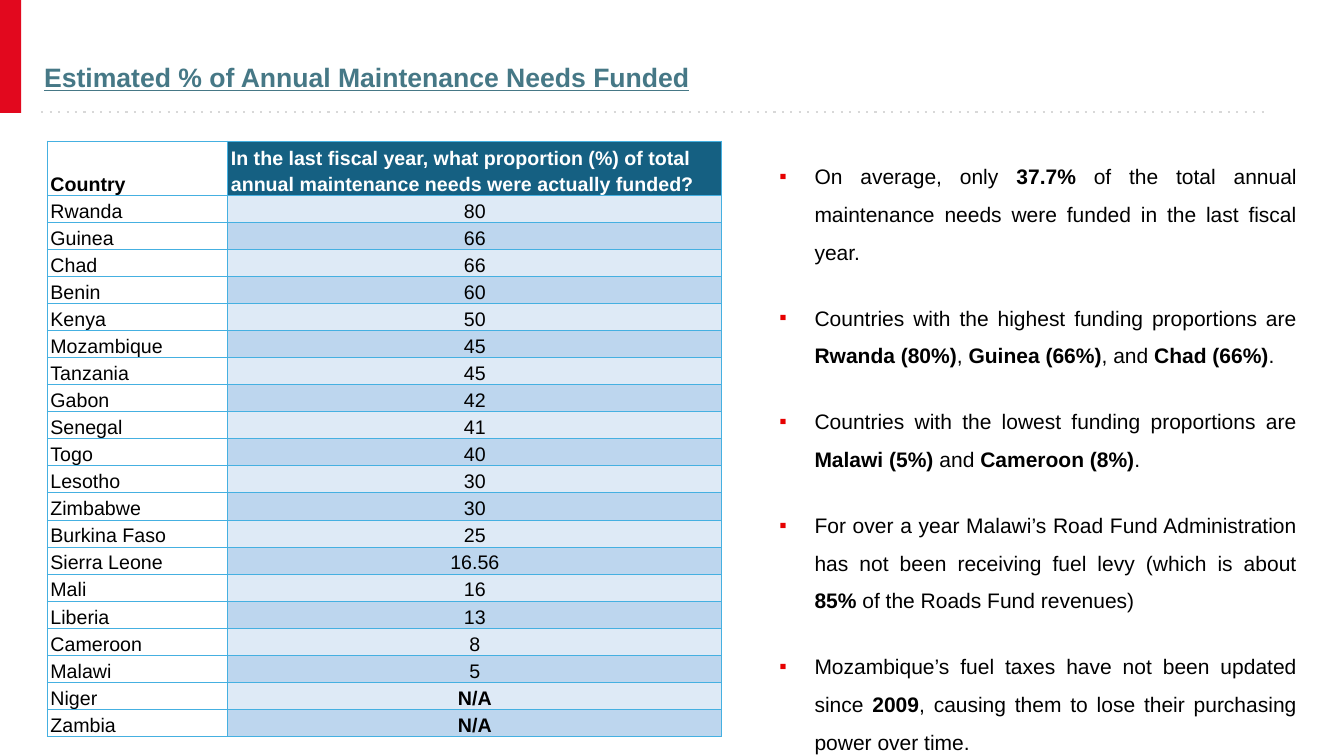
"""Build the slide on the share of annual road maintenance needs that was funded."""
import pptx
import pptx.dml.color
import pptx.enum.shapes
import pptx.enum.text
import pptx.oxml
import pptx.oxml.ns
import pptx.util

Inches, Pt = pptx.util.Inches, pptx.util.Pt
RGBColor = pptx.dml.color.RGBColor
ALIGN = pptx.enum.text.PP_ALIGN
qn = pptx.oxml.ns.qn

TITLE = "Estimated % of Annual Maintenance Needs Funded"
HEADER = ("Country", "In the last fiscal year, what proportion (%) of total "
          "annual maintenance needs were actually funded?")
FUNDED = [
    ("Rwanda", "80"), ("Guinea", "66"), ("Chad", "66"), ("Benin", "60"),
    ("Kenya", "50"), ("Mozambique", "45"), ("Tanzania", "45"), ("Gabon", "42"),
    ("Senegal", "41"), ("Togo", "40"), ("Lesotho", "30"), ("Zimbabwe", "30"),
    ("Burkina Faso", "25"), ("Sierra Leone", "16.56"), ("Mali", "16"),
    ("Liberia", "13"), ("Cameroon", "8"), ("Malawi", "5"),
    ("Niger", "N/A"), ("Zambia", "N/A"),
]
FINDINGS = [
    [("On average, only ", False), ("37.7%", True),
     (" of the total annual maintenance needs were funded in the last fiscal year.", False)],
    [("Countries with the highest funding proportions are ", False),
     ("Rwanda (80%)", True), (", ", False), ("Guinea (66%)", True),
     (", and ", False), ("Chad (66%)", True), (".", False)],
    [("Countries with the lowest funding proportions are ", False),
     ("Malawi (5%)", True), (" and ", False), ("Cameroon (8%)", True), (".", False)],
    [("For over a year Malawi’s Road Fund Administration has not been receiving "
      "fuel levy (which is about", False), (" 85% ", True),
     ("of the Roads Fund revenues)", False)],
    [("Mozambique’s fuel taxes have not been updated since", False), (" 2009", True),
     (", causing them to lose their purchasing power over time.", False)],
]

FONT = "Arial"
RED = RGBColor(0xE2, 0x08, 0x1E)
GREY = RGBColor(0xD8, 0xD8, 0xD8)
TEAL = RGBColor(0x46, 0x78, 0x86)
BLACK = RGBColor(0, 0, 0)
WHITE = RGBColor(0xFF, 0xFF, 0xFF)
NAVY = RGBColor(0x15, 0x60, 0x82)
BANDS = (RGBColor(0xDE, 0xEA, 0xF6), RGBColor(0xBD, 0xD6, 0xEE))
BORDER = "45B0E1"
BULLET = "E60000"
COLUMNS = (1.79, 4.9)
HEADER_HEIGHT, ROW_HEIGHT = 0.35, 0.21


def element(xml):
    ns = pptx.oxml.ns.nsdecls("a")
    return pptx.oxml.parse_xml(xml.replace(">", f" {ns}>", 1) if "/>" not in xml.split(">")[0] + ">"
                               else xml.replace("/>", f" {ns}/>", 1))


def add_run(p, text, size, color, bold=False):
    r = p.add_run()
    r.text = text
    r.font.name = FONT
    r.font.size = Pt(size)
    r.font.bold = bold
    r.font.color.rgb = color
    return r


def add_text_box(s, left, top, width, height):
    tf = s.shapes.add_textbox(Inches(left), Inches(top), Inches(width), Inches(height)).text_frame
    tf.word_wrap = True
    tf.margin_left = tf.margin_right = tf.margin_top = tf.margin_bottom = Inches(0.1)
    return tf


def add_frame(s):
    sp = s.shapes.add_shape(pptx.enum.shapes.MSO_SHAPE.RECTANGLE, 0, 0, Inches(0.21), Inches(1.12))
    sp.shadow.inherit = False
    sp.fill.solid()
    sp.fill.fore_color.rgb = RED
    sp.line.fill.background()
    rule = s.shapes.add_connector(pptx.enum.shapes.MSO_CONNECTOR.STRAIGHT,
                                  Inches(0.41), Inches(1.11), Inches(12.56), Inches(1.11))
    rule.line.color.rgb = GREY
    rule.line.width = Pt(1.5)
    rule.line._get_or_add_ln().append(element('<a:prstDash val="dot"/>'))
    rule._element.spPr.append(element("<a:effectLst/>"))


def add_title(s):
    p = add_text_box(s, 0.34, 0.35, 11.31, 0.76).paragraphs[0]
    p.line_spacing = 1.5
    add_run(p, TITLE, 19, TEAL, True).font.underline = True


def fill_cell(cell, text, fill, color, bold, align):
    cell.margin_left = cell.margin_right = Inches(0.03)
    cell.margin_top = cell.margin_bottom = 0
    cell.vertical_anchor = pptx.enum.text.MSO_ANCHOR.BOTTOM
    p = cell.text_frame.paragraphs[0]
    p.alignment = align
    p.line_spacing = 1.15
    add_run(p, text, 14, color, bold)
    tcPr = cell._tc.get_or_add_tcPr()
    for side in ("lnL", "lnR", "lnT", "lnB"):
        tcPr.append(element(f'<a:{side} w="{Pt(0.75)}"><a:solidFill>'
                            f'<a:srgbClr val="{BORDER}"/></a:solidFill></a:{side}>'))
    cell.fill.solid()
    cell.fill.fore_color.rgb = fill


def add_funding_table(s):
    height = HEADER_HEIGHT + ROW_HEIGHT * len(FUNDED)
    table = s.shapes.add_table(len(FUNDED) + 1, len(COLUMNS), Inches(0.47), Inches(1.4),
                               Inches(sum(COLUMNS)), Inches(height)).table
    for column, width in zip(table.columns, COLUMNS):
        column.width = Inches(width)
    for i, row in enumerate(table.rows):
        row.height = Inches(ROW_HEIGHT if i else HEADER_HEIGHT)
    fill_cell(table.cell(0, 0), HEADER[0], WHITE, BLACK, True, ALIGN.LEFT)
    fill_cell(table.cell(0, 1), HEADER[1], NAVY, WHITE, True, ALIGN.LEFT)
    for i, (country, share) in enumerate(FUNDED):
        fill_cell(table.cell(i + 1, 0), country, WHITE, BLACK, False, ALIGN.LEFT)
        fill_cell(table.cell(i + 1, 1), share, BANDS[i % 2], BLACK, share == "N/A", ALIGN.CENTER)


def add_findings(s):
    tf = add_text_box(s, 7.54, 1.4, 5.42, 6.1)
    for i, runs in enumerate(FINDINGS):
        p = tf.add_paragraph() if i else tf.paragraphs[0]
        pPr = p._p.get_or_add_pPr()
        pPr.set("marL", str(Inches(0.44)))
        pPr.set("indent", str(Inches(-0.35)))
        pPr.append(element(f'<a:buClr><a:srgbClr val="{BULLET}"/></a:buClr>'))
        pPr.append(element(f'<a:buFont typeface="{FONT}"/>'))
        pPr.append(element('<a:buChar char="▪"/>'))
        p.alignment = ALIGN.JUSTIFY
        p.line_spacing = 1.5
        if i:
            p.space_before = Pt(20)
        for text, bold in runs:
            add_run(p, text, 15, BLACK, bold)


def main():
    prs = pptx.Presentation()
    prs.slide_width, prs.slide_height = Inches(13.33), Inches(7.5)
    s = prs.slides.add_slide(prs.slide_layouts[6])
    add_frame(s)
    add_title(s)
    add_funding_table(s)
    add_findings(s)
    prs.save("out.pptx")


if __name__ == "__main__":
    main()
